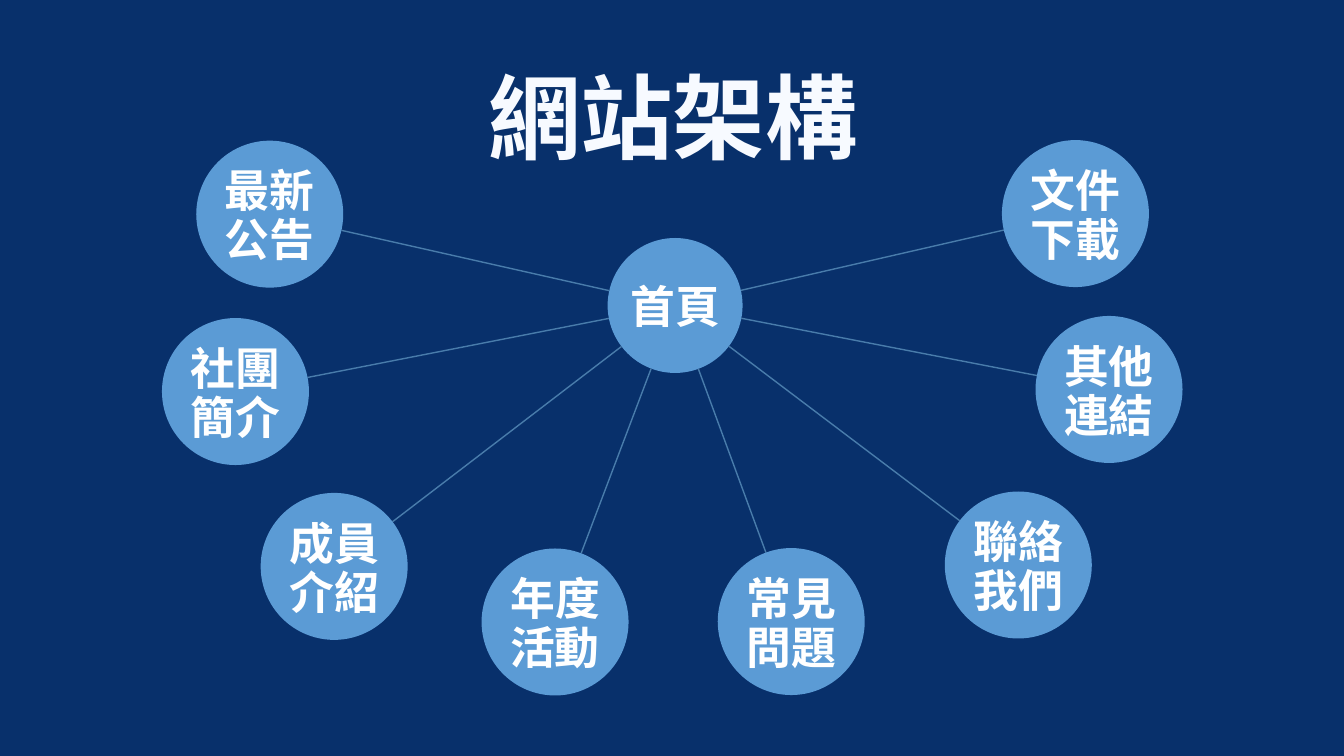
import math
from dataclasses import dataclass

from lxml import etree
from pptx import Presentation
from pptx.dml.color import RGBColor
from pptx.enum import shapes, text
from pptx.oxml import ns
from pptx.util import Pt


@dataclass(frozen=True)
class Theme:
    font: str = "Noto Sans CJK SC"
    background: str = "08306B"
    title: str = "F7FAFF"
    label: str = "FFFFFF"
    circle: str = "5B9BD5"
    link: str = "497CAB"
    title_size: int = 66
    label_size: int = 32
    title_leading: int = 80
    label_leading: int = 35


@dataclass(frozen=True)
class Node:
    label: str
    x: float
    y: float
    radius: float = 52.5


class SiteMap:
    def __init__(self, deck, theme):
        self.theme = theme
        self.page = deck.slides.add_slide(deck.slide_layouts[6])
        fill = self.page.background.fill
        fill.solid()
        fill.fore_color.rgb = RGBColor.from_string(theme.background)

    def set_words(self, frame, words, size, leading, color):
        frame.text = words
        para = frame.paragraphs[0]
        para.line_spacing = Pt(leading)
        for span in para.runs:
            span.font.name = self.theme.font
            span.font.size = Pt(size)
            span.font.bold = True
            span.font.color.rgb = RGBColor.from_string(color)
        return para

    def title(self, words, left, top, width, height):
        box = self.page.shapes.add_textbox(Pt(left), Pt(top), Pt(width), Pt(height))
        box.text_frame.word_wrap = False
        self.set_words(box.text_frame, words, self.theme.title_size,
                       self.theme.title_leading, self.theme.title)

    def circle(self, node):
        size = Pt(2 * node.radius)
        circle = self.page.shapes.add_shape(
            shapes.MSO_SHAPE.OVAL, Pt(node.x - node.radius),
            Pt(node.y - node.radius), size, size)
        circle.shadow.inherit = False
        circle.fill.solid()
        circle.fill.fore_color.rgb = RGBColor.from_string(self.theme.circle)
        circle.line.fill.background()
        frame = circle.text_frame
        frame.word_wrap = True
        frame.vertical_anchor = text.MSO_ANCHOR.MIDDLE
        frame.margin_left = frame.margin_right = Pt(1)
        frame.margin_top, frame.margin_bottom = Pt(4), Pt(0)
        para = self.set_words(frame, node.label, self.theme.label_size,
                              self.theme.label_leading, self.theme.label)
        para.alignment = text.PP_ALIGN.CENTER

    def link(self, start, end):
        angle = math.atan2(end.y - start.y, end.x - start.x)
        across, down = math.cos(angle), math.sin(angle)
        line = self.page.shapes.add_connector(
            shapes.MSO_CONNECTOR.STRAIGHT,
            Pt(start.x + start.radius * across), Pt(start.y + start.radius * down),
            Pt(end.x - end.radius * across), Pt(end.y - end.radius * down))
        line.line.color.rgb = RGBColor.from_string(self.theme.link)
        line.line.width = Pt(1)
        etree.SubElement(line._element.spPr, ns.qn("a:effectLst"))


def main():
    deck = Presentation()
    deck.slide_width, deck.slide_height = Pt(960), Pt(540)
    site = SiteMap(deck, Theme())
    site.title("網站架構", 341.5, 38.5, 281, 87)

    home = Node("首頁", 482.2, 218.2, 48.2)
    branches = [
        Node("最新公告", 192.7, 153),
        Node("社團簡介", 168.2, 279.7),
        Node("成員介紹", 238.7, 404.6),
        Node("年度活動", 396.5, 444.3),
        Node("常見問題", 565.2, 444),
        Node("聯絡我們", 727.4, 403.6),
        Node("其他連結", 792.2, 278.2),
        Node("文件下載", 768.2, 152.6),
    ]
    site.circle(home)
    for branch in branches:
        site.link(home, branch)
        site.circle(branch)
    deck.save("out.pptx")


if __name__ == "__main__":
    main()
